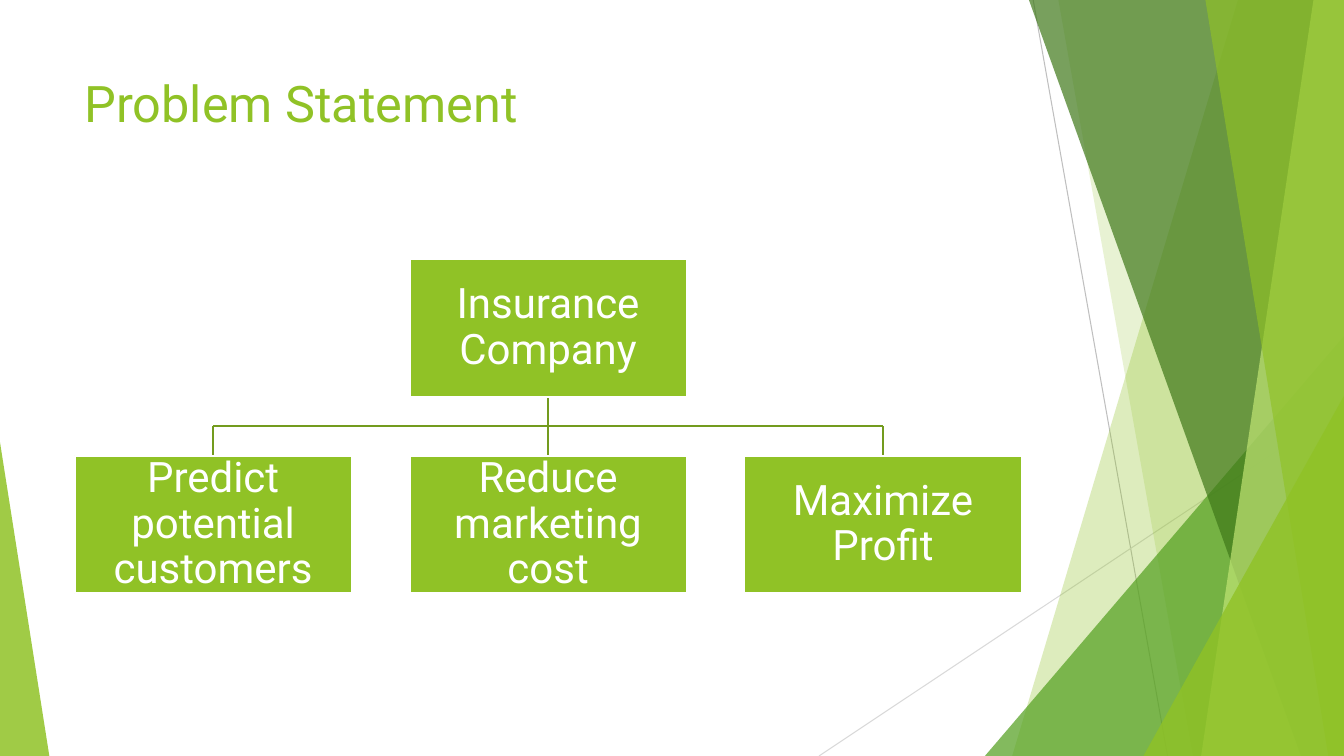
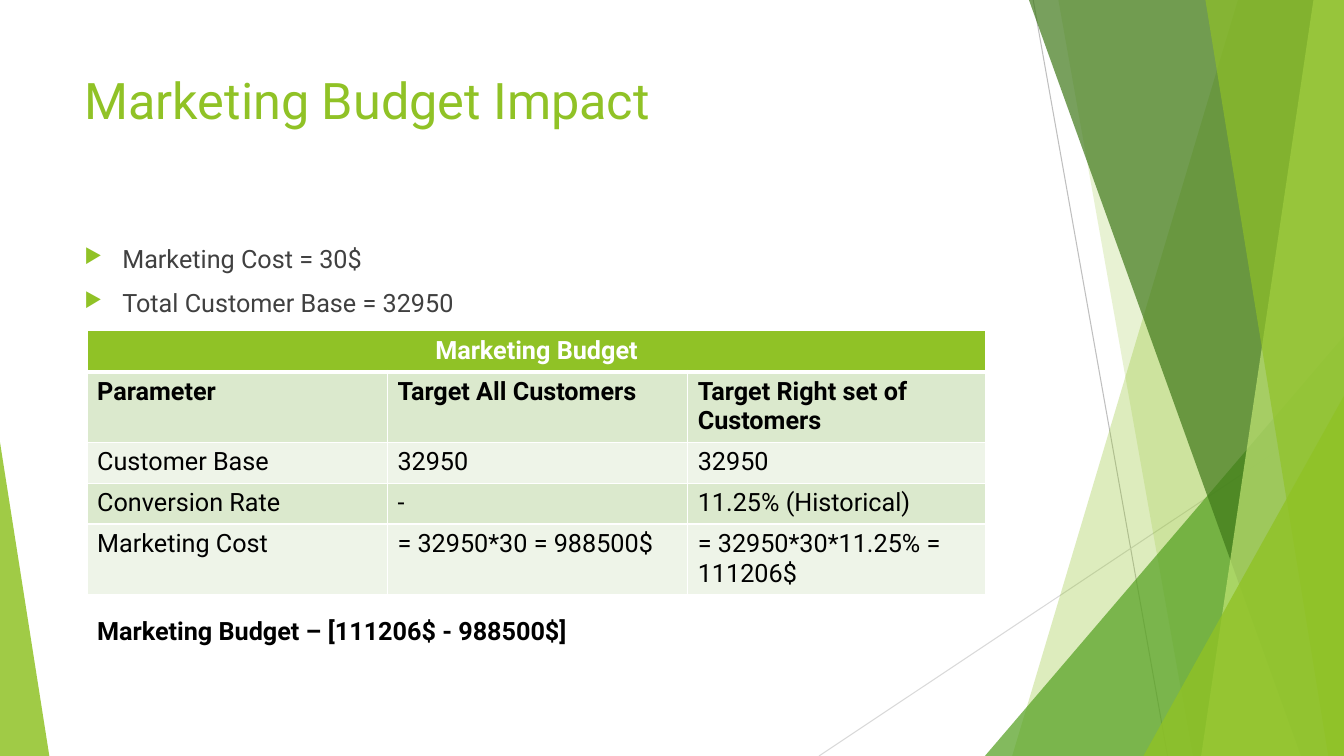
from lxml.etree import SubElement
from pptx import Presentation
from pptx.dml.color import RGBColor
from pptx.enum.shapes import MSO_CONNECTOR, MSO_SHAPE
from pptx.enum.text import MSO_ANCHOR, PP_ALIGN
from pptx.oxml import parse_xml
from pptx.oxml.ns import nsdecls, qn
from pptx.util import Pt

PX = 9525  # EMU per px
WIDTH, HEIGHT = 1280, 720
FONT = "Roboto"

GREEN = RGBColor(0x90, 0xC2, 0x26)
MID_GREEN = RGBColor(0x54, 0xA0, 0x21)
DARK_GREEN = RGBColor(0x3F, 0x78, 0x19)
PALE_GREEN = RGBColor(0xC0, 0xE4, 0x74)
LINE_GREEN = RGBColor(0x73, 0x9B, 0x1E)
ROW_DARK = RGBColor(0xDB, 0xE9, 0xCD)
ROW_LIGHT = RGBColor(0xEE, 0xF4, 0xE8)
GRAY = RGBColor(0xBF, 0xBF, 0xBF)
LIGHT_GRAY = RGBColor(0xD9, 0xD9, 0xD9)
TEXT_GRAY = RGBColor(0x40, 0x40, 0x40)
BLACK = RGBColor(0, 0, 0)
WHITE = RGBColor(0xFF, 0xFF, 0xFF)


def draw_line(slide, x1, y1, x2, y2, color, weight):
    line = slide.shapes.add_connector(
        MSO_CONNECTOR.STRAIGHT, x1 * PX, y1 * PX, x2 * PX, y2 * PX)
    line.line.color.rgb = color
    line.line.width = Pt(weight)
    SubElement(line.element.spPr, qn("a:effectLst"))


def write_text(frame, lines, size, color, bold=False, align=PP_ALIGN.LEFT):
    frame.word_wrap = True
    for index, text in enumerate(lines):
        paragraph = frame.add_paragraph() if index else frame.paragraphs[0]
        paragraph.alignment = align
        run = paragraph.add_run()
        run.text = text
        run.font.name = FONT
        run.font.size = Pt(size)
        run.font.bold = bold
        run.font.color.rgb = color


presentation = Presentation()
presentation.slide_width = WIDTH * PX
presentation.slide_height = HEIGHT * PX
layout = presentation.slide_layouts[6]
problem_slide = presentation.slides.add_slide(layout)
budget_slide = presentation.slides.add_slide(layout)

# Shared decoration: thin lines and translucent facets
draw_line(problem_slide, 984, 0, 1112, HEIGHT, GRAY, 0.75)
draw_line(problem_slide, WIDTH, 387, 780, HEIGHT, LIGHT_GRAY, 0.75)

# top left, top right, bottom left, bottom right, top, colour, opacity %
FACETS = [
    (1179, WIDTH, 964, WIDTH, 0, GREEN, 30),
    (1008, WIDTH, 1136, WIDTH, 0, GREEN, 20),
    (WIDTH, WIDTH, 938, WIDTH, 320, MID_GREEN, 72),
    (980, WIDTH, 1239, WIDTH, 0, DARK_GREEN, 70),
    (1251, WIDTH, 1144, WIDTH, 0, PALE_GREEN, 70),
    (1148, WIDTH, 1265, WIDTH, 0, GREEN, 65),
    (WIDTH, WIDTH, 1089, WIDTH, 377, GREEN, 80),
    (0, 0, 0, 47, 421, GREEN, 85),
]
for top_left, top_right, bottom_left, bottom_right, top, color, opacity in FACETS:
    if top_left == top_right:
        base = bottom_right - bottom_left
        facet = problem_slide.shapes.add_shape(
            MSO_SHAPE.ISOSCELES_TRIANGLE, bottom_left * PX, top * PX,
            base * PX, (HEIGHT - top) * PX)
        facet.adjustments[0] = (top_left - bottom_left) / base
    else:
        builder = problem_slide.shapes.build_freeform(top_left, top, scale=PX)
        builder.add_line_segments([
            (top_right, top), (bottom_right, HEIGHT), (bottom_left, HEIGHT)])
        facet = builder.convert_to_shape()
    facet.shadow.inherit = False
    facet.line.fill.background()
    facet.fill.solid()
    facet.fill.fore_color.rgb = color
    fill_color = facet.element.spPr.find(".//" + qn("a:srgbClr"))
    SubElement(fill_color, qn("a:alpha"), val=str(opacity * 1000))

# The layout carries the decoration for every slide
for shape in list(problem_slide.shapes):
    layout.shapes.element.append(shape.element)

# Titles
for slide, title, top in [(problem_slide, "Problem Statement", 64),
                          (budget_slide, "Marketing Budget Impact", 61)]:
    title_box = slide.shapes.add_textbox(71 * PX, top * PX, 902 * PX, 138 * PX)
    write_text(title_box.text_frame, [title], 36, GREEN)

# Problem statement: organisation chart
BOX_WIDTH, BOX_HEIGHT, BOX_STEP = 264, 131, 319
COLUMNS = [71 + BOX_STEP * index for index in range(3)]
ROOT_TOP, GOAL_TOP = 247, 434
ROOT_BOTTOM = ROOT_TOP + BOX_HEIGHT
BAR_Y = (ROOT_BOTTOM + GOAL_TOP) // 2
centers = [left + BOX_WIDTH // 2 for left in COLUMNS]

draw_line(problem_slide, centers[1], ROOT_BOTTOM, centers[1], BAR_Y, LINE_GREEN, 1.5)
draw_line(problem_slide, centers[0], BAR_Y, centers[2], BAR_Y, LINE_GREEN, 1.5)
for center in centers:
    draw_line(problem_slide, center, BAR_Y, center, GOAL_TOP, LINE_GREEN, 1.5)

for text, left, top in [
    ("Insurance Company", COLUMNS[1], ROOT_TOP),
    ("Predict potential customers", COLUMNS[0], GOAL_TOP),
    ("Reduce marketing cost", COLUMNS[1], GOAL_TOP),
    ("Maximize Profit", COLUMNS[2], GOAL_TOP),
]:
    box = problem_slide.shapes.add_shape(
        MSO_SHAPE.RECTANGLE, left * PX, top * PX, BOX_WIDTH * PX, BOX_HEIGHT * PX)
    box.shadow.inherit = False
    box.fill.solid()
    box.fill.fore_color.rgb = GREEN
    box.line.color.rgb = WHITE
    box.line.width = Pt(1.5)
    frame = box.text_frame
    frame.vertical_anchor = MSO_ANCHOR.MIDDLE
    frame.margin_left = frame.margin_right = 2 * PX
    frame.margin_top = frame.margin_bottom = 2 * PX
    write_text(frame, [text], 30, WHITE, align=PP_ALIGN.CENTER)
    frame.paragraphs[0].line_spacing = 0.9

# Marketing budget: bullets
body = budget_slide.shapes.add_textbox(71 * PX, 227 * PX, 902 * PX, 407 * PX)
write_text(body.text_frame, ["Marketing Cost = 30$", "Total Customer Base = 32950"],
           18, TEXT_GRAY)
for paragraph in body.text_frame.paragraphs:
    paragraph.space_before = Pt(10)
    properties = paragraph._p.get_or_add_pPr()
    properties.set("marL", str(36 * PX))
    properties.set("indent", str(-36 * PX))
    bullet_color = SubElement(properties, qn("a:buClr"))
    SubElement(bullet_color, qn("a:srgbClr"), val=str(GREEN))
    SubElement(properties, qn("a:buSzPct"), val="80000")
    SubElement(properties, qn("a:buChar"), char="▶")

# Marketing budget: table
ROWS = [
    ["Marketing Budget", "", ""],
    ["Parameter", "Target All Customers", "Target Right set of Customers"],
    ["Customer Base", "32950", "32950"],
    ["Conversion Rate", "-", "11.25% (Historical)"],
    ["Marketing Cost", "= 32950*30 = 988500$", "= 32950*30*11.25% = 111206$"],
]
COLUMN_WIDTHS = [286, 286, 284]
ROW_HEIGHTS = [39, 66, 39, 39, 66]
table = budget_slide.shapes.add_table(
    len(ROWS), len(COLUMN_WIDTHS), 83 * PX, 315 * PX,
    sum(COLUMN_WIDTHS) * PX, sum(ROW_HEIGHTS) * PX).table
for column, width in zip(table.columns, COLUMN_WIDTHS):
    column.width = width * PX
for row, height in zip(table.rows, ROW_HEIGHTS):
    row.height = height * PX
table.cell(0, 0).merge(table.cell(0, 2))

for row_index, texts in enumerate(ROWS):
    header = row_index == 0
    row_fill = GREEN if header else ROW_DARK if row_index % 2 else ROW_LIGHT
    weights = {"lnL": 1, "lnR": 1, "lnT": 3 if row_index == 1 else 1,
               "lnB": 3 if header else 1}
    for column_index, text in enumerate(texts):
        cell = table.cell(row_index, column_index)
        cell.fill.solid()
        cell.fill.fore_color.rgb = row_fill
        if text:
            write_text(cell.text_frame, [text], 18, WHITE if header else BLACK,
                       bold=row_index < 2,
                       align=PP_ALIGN.CENTER if header else PP_ALIGN.LEFT)
        for position, (side, weight) in enumerate(weights.items()):
            cell._tc.get_or_add_tcPr().insert(position, parse_xml(
                f'<a:{side} {nsdecls("a")} w="{Pt(weight)}"><a:solidFill>'
                f'<a:srgbClr val="{WHITE}"/></a:solidFill></a:{side}>'))

# Marketing budget: conclusion
conclusion = budget_slide.shapes.add_textbox(83 * PX, 581 * PX, 848 * PX, 38 * PX)
write_text(conclusion.text_frame, ["Marketing Budget – [111206$ - 988500$]"],
           18, BLACK, bold=True)

presentation.save("out.pptx")
